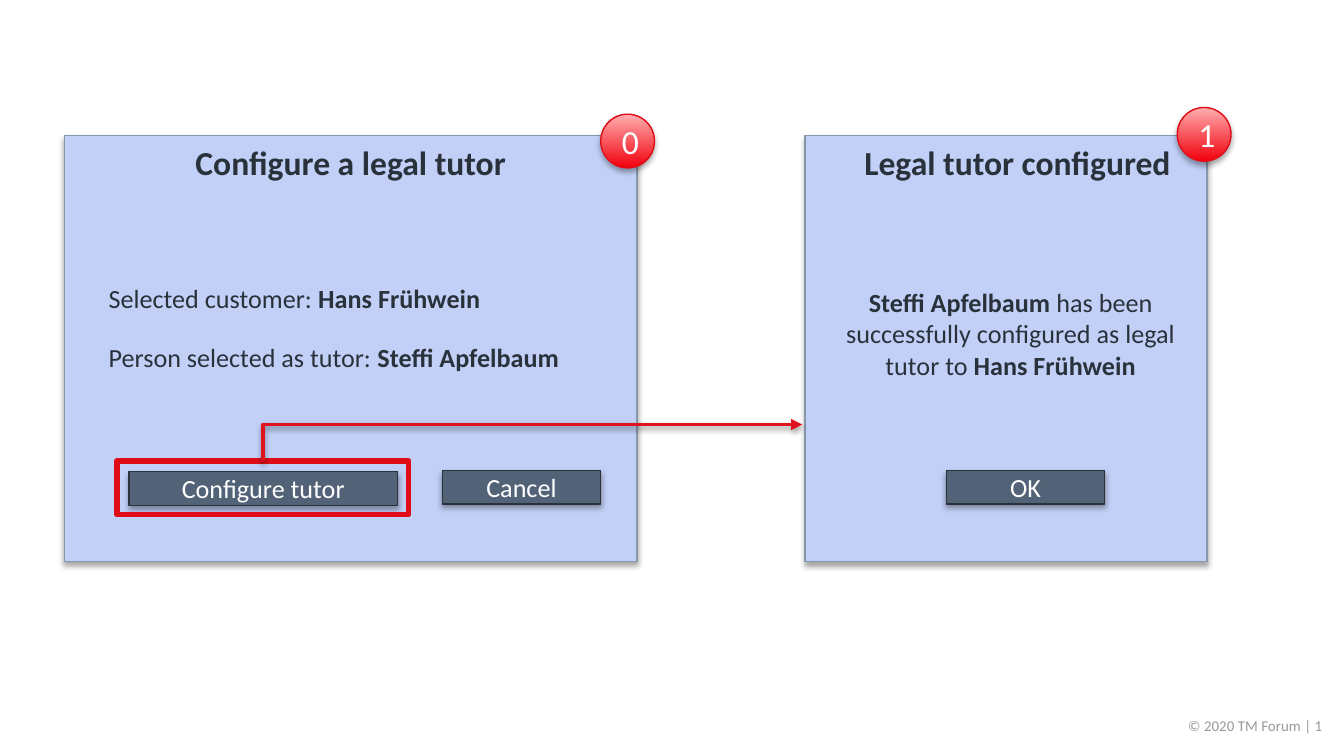
from dataclasses import dataclass

from lxml.etree import SubElement
from pptx import Presentation
from pptx.dml.color import RGBColor
from pptx.enum.shapes import MSO_CONNECTOR as CONN, MSO_SHAPE as SHAPE
from pptx.enum.text import MSO_ANCHOR as ANCHOR, PP_ALIGN as ALIGN
from pptx.oxml.ns import qn
from pptx.shapes.autoshape import Shape
from pptx.slide import Slide
from pptx.util import Inches, Pt

DARK = RGBColor(0x29, 0x31, 0x3B)
PANEL_FILL = RGBColor(0xC2, 0xD0, 0xF7)
PANEL_LINE = RGBColor(0x86, 0x96, 0xAB)
BUTTON_FILL = RGBColor(0x53, 0x63, 0x77)
RED = RGBColor(0xE0, 0x0D, 0x18)
ARROW_RED = RGBColor(0xE0, 0x12, 0x1D)
BADGE_BOTTOM = RGBColor(0xF2, 0x00, 0x0D)
BADGE_TOP = RGBColor(0xFF, 0xAE, 0xAF)
GREY = RGBColor(0x99, 0x99, 0x99)
WHITE = RGBColor(0xFF, 0xFF, 0xFF)
FONT = "Calibri"


@dataclass(frozen=True)
class Box:
    x: float
    y: float
    w: float
    h: float

    def emu(self) -> list[int]:
        return [Inches(v) for v in (self.x, self.y, self.w, self.h)]


@dataclass(frozen=True)
class Panel:
    box: Box
    title: str
    title_inset: float
    badge: str
    badge_box: Box


@dataclass(frozen=True)
class Button:
    box: Box
    label: str


@dataclass(frozen=True)
class Message:
    box: Box
    runs: tuple[tuple[str, bool], ...]
    align: ALIGN = ALIGN.LEFT


PANELS = [
    Panel(Box(0.48, 1.01, 4.26, 3.17), "Configure a legal tutor", 0.1,
          "0", Box(4.47, 0.85, 0.4, 0.4)),
    Panel(Box(5.99, 1.01, 2.99, 3.17), "Legal tutor configured", 0.27,
          "1", Box(8.76, 0.8, 0.4, 0.4)),
]
BUTTONS = [
    Button(Box(0.96, 3.51, 2, 0.25), "Configure tutor"),
    Button(Box(3.29, 3.5, 1.18, 0.25), "Cancel"),
    Button(Box(7.04, 3.5, 1.18, 0.25), "OK"),
]
MESSAGES = [
    Message(Box(0.71, 2.05, 3.17, 0.34),
            (("Selected customer: ", False), ("Hans Frühwein", True))),
    Message(Box(0.71, 2.49, 3.76, 0.34),
            (("Person selected as tutor: ", False), ("Steffi Apfelbaum", True))),
    Message(Box(6.04, 2.08, 2.96, 0.81),
            (("Steffi Apfelbaum", True),
             (" has been successfully configured as legal tutor to ", False),
             ("Hans Frühwein", True)), ALIGN.CENTER),
]
HIGHLIGHT = Box(0.87, 3.43, 2.17, 0.4)
ARROW_END = (5.97, 3.16)


def add_shadow(sp_pr, opacity: int, blur: float, dist: float) -> None:
    effects = SubElement(sp_pr, qn("a:effectLst"))
    shadow = SubElement(effects, qn("a:outerShdw"), blurRad=str(Pt(blur)),
                        dist=str(Pt(dist)), dir="5400000", rotWithShape="0")
    color = SubElement(shadow, qn("a:srgbClr"), val="000000")
    SubElement(color, qn("a:alpha"), val=str(opacity * 1000))


def add_box(s: Slide, kind: SHAPE, box: Box, line: RGBColor, width: float = 0.75,
            fill: RGBColor | None = None, shadow: bool = True) -> Shape:
    sp = s.shapes.add_shape(kind, *box.emu())
    if fill is None:
        sp.fill.background()
    else:
        sp.fill.solid()
        sp.fill.fore_color.rgb = fill
    sp.line.color.rgb = line
    sp.line.width = Pt(width)
    if shadow:
        add_shadow(sp._element.spPr, 35, 3.1, 1.8)
    else:
        sp.shadow.inherit = False
    return sp


def write(sp: Shape, runs: tuple[tuple[str, bool], ...], size: int,
          color: RGBColor, align: ALIGN = ALIGN.CENTER) -> None:
    tf = sp.text_frame
    tf.word_wrap = True
    p = tf.paragraphs[0]
    p.alignment = align
    p.font.name, p.font.size = FONT, Pt(size)
    p.font.color.rgb = color
    for text, bold in runs:
        r = p.add_run()
        r.text = text
        r.font.name, r.font.size, r.font.bold = FONT, Pt(size), bold
        r.font.color.rgb = color


def add_panel(s: Slide, panel: Panel) -> None:
    sp = add_box(s, SHAPE.RECTANGLE, panel.box, PANEL_LINE, fill=PANEL_FILL)
    sp.text_frame.vertical_anchor = ANCHOR.TOP
    sp.text_frame.margin_left = Inches(panel.title_inset)
    write(sp, ((panel.title, True),), 18, DARK)


def add_badge(s: Slide, panel: Panel) -> None:
    sp = add_box(s, SHAPE.OVAL, panel.badge_box, RED)
    sp.fill.gradient()
    sp.fill.gradient_angle = 90
    for stop, color in zip(sp.fill.gradient_stops, (BADGE_BOTTOM, BADGE_TOP)):
        stop.color.rgb = color
    write(sp, ((panel.badge, False),), 18, WHITE)


def add_button(s: Slide, button: Button) -> None:
    sp = add_box(s, SHAPE.RECTANGLE, button.box, DARK, fill=BUTTON_FILL)
    write(sp, ((button.label, False),), 14, WHITE)


def add_message(s: Slide, message: Message) -> None:
    sp = s.shapes.add_textbox(*message.box.emu())
    write(sp, message.runs, 14, DARK, message.align)


def add_elbow_arrow(s: Slide, start: tuple[float, float],
                    end: tuple[float, float]) -> None:
    across, rise = end[0] - start[0], start[1] - end[1]
    mid_x, mid_y = (start[0] + end[0]) / 2, (start[1] + end[1]) / 2
    left, top = mid_x - rise / 2, mid_y - across / 2
    arrow = s.shapes.add_connector(CONN.ELBOW, Inches(left + rise),
                                   Inches(top + across), Inches(left), Inches(top))
    arrow.line.color.rgb = ARROW_RED
    arrow.line.width = Pt(2)
    sp_pr = arrow._element.spPr
    sp_pr.find(qn("a:xfrm")).set("rot", "5400000")
    sp_pr.find(qn("a:prstGeom")).set("prst", "bentConnector2")
    SubElement(sp_pr.find(qn("a:ln")), qn("a:tailEnd"), type="triangle")
    add_shadow(sp_pr, 38, 3.1, 1.6)


def add_footer(s: Slide) -> None:
    sp = s.shapes.add_textbox(*Box(7.67, 5.31, 2.17, 0.15).emu())
    tf = sp.text_frame
    tf.margin_left = tf.margin_right = tf.margin_bottom = 0
    tf.margin_top = Inches(0.02)
    write(sp, (("© 2020 TM Forum | 1", False),), 8, GREY, ALIGN.RIGHT)


def main() -> None:
    prs = Presentation()
    prs.slide_width = Inches(10)
    prs.slide_height = Inches(10 * 9 / 16)
    s = prs.slides.add_slide(prs.slide_layouts[6])
    add_footer(s)
    for panel in PANELS:
        add_panel(s, panel)
        add_badge(s, panel)
    for button in BUTTONS:
        add_button(s, button)
    add_box(s, SHAPE.RECTANGLE, HIGHLIGHT, RED, width=3, shadow=False)
    for message in MESSAGES:
        add_message(s, message)
    add_elbow_arrow(s, (HIGHLIGHT.x + HIGHLIGHT.w / 2, HIGHLIGHT.y), ARROW_END)
    prs.save("out.pptx")


if __name__ == "__main__":
    main()
